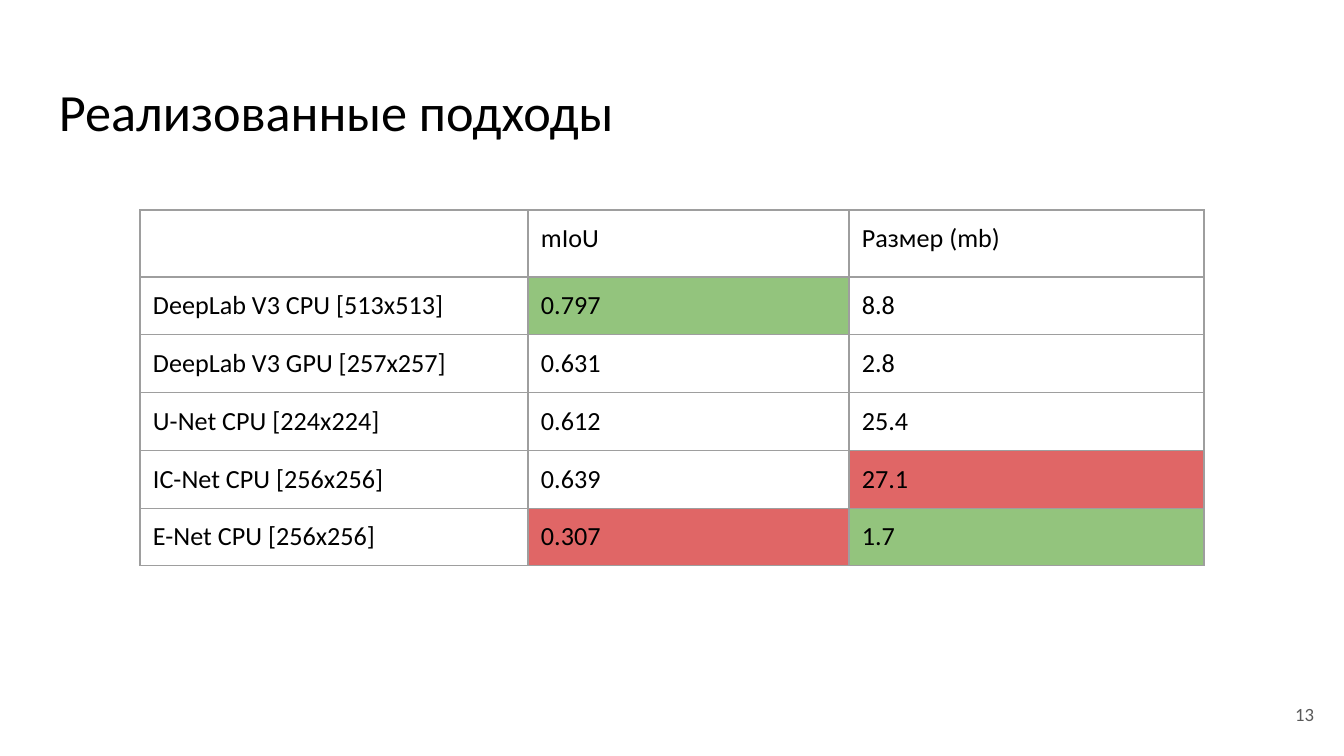
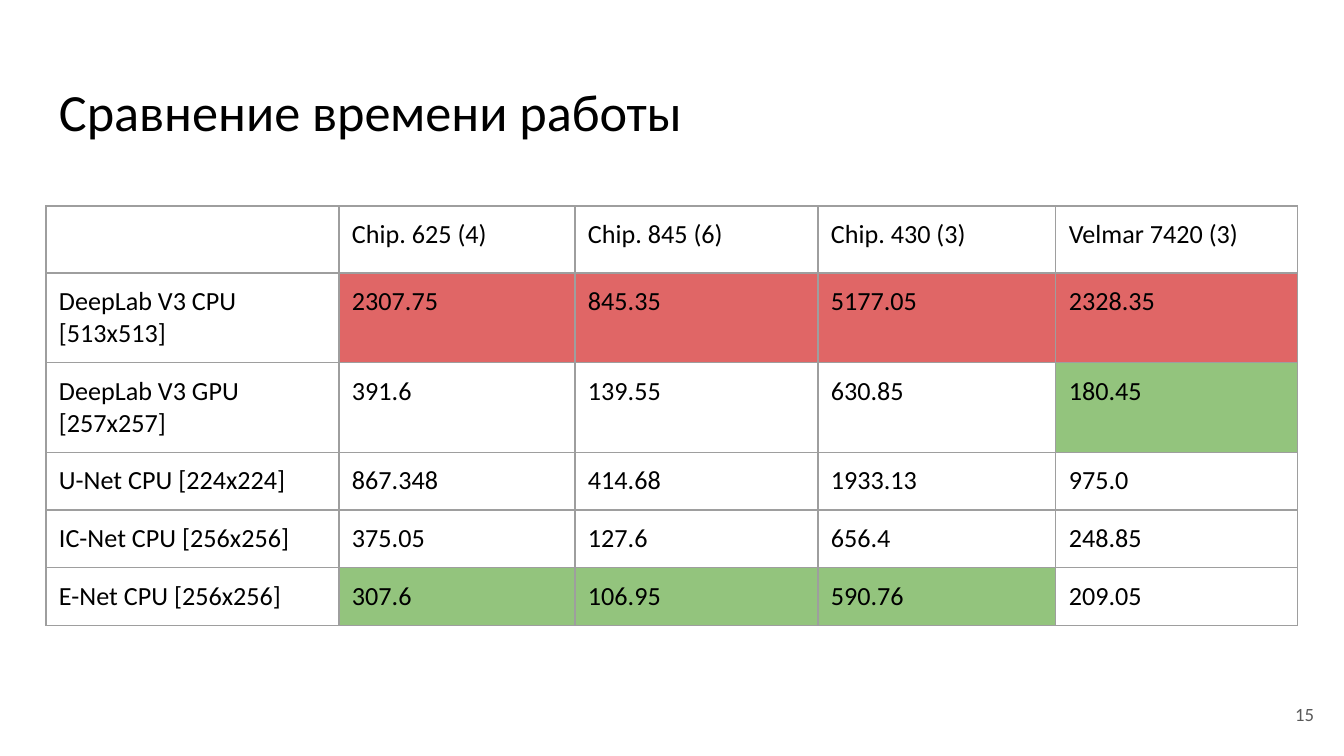
"""Build two slides comparing segmentation networks by quality, size and speed."""
from lxml import etree
from pptx import Presentation
from pptx.dml.color import RGBColor
from pptx.enum.text import MSO_ANCHOR, MSO_AUTO_SIZE, PP_ALIGN
from pptx.oxml.ns import qn
from pptx.util import Pt

LEFT, RIGHT = PP_ALIGN.LEFT, PP_ALIGN.RIGHT
TOP, MIDDLE = MSO_ANCHOR.TOP, MSO_ANCHOR.MIDDLE
NO_AUTOFIT = MSO_AUTO_SIZE.NONE
TITLE_ONLY = 5

NETWORKS = [
    "DeepLab V3 CPU [513x513]",
    "DeepLab V3 GPU [257x257]",
    "U-Net CPU [224x224]",
    "IC-Net CPU [256x256]",
    "E-Net CPU [256x256]",
]
SLIDES = [
    {
        "title": "Реализованные подходы",
        "number": "13",
        "corner": (140, 210),
        "widths": [388, 321, 355],
        "metrics": [
            ("mIoU", max, ["0.797", "0.631", "0.612", "0.639", "0.307"]),
            ("Размер (mb)", min, ["8.8", "2.8", "25.4", "27.1", "1.7"]),
        ],
    },
    {
        "title": "Сравнение времени работы",
        "number": "15",
        "corner": (46, 206),
        "widths": [293, 236, 243, 238, 242],
        "metrics": [
            ("Chip. 625 (4)", min, ["2307.75", "391.6", "867.348", "375.05", "307.6"]),
            ("Chip. 845 (6)", min, ["845.35", "139.55", "414.68", "127.6", "106.95"]),
            ("Chip. 430 (3)", min, ["5177.05", "630.85", "1933.13", "656.4", "590.76"]),
            ("Velmar 7420 (3)", min, ["2328.35", "180.45", "975.0", "248.85", "209.05"]),
        ],
    },
]

COLORS = {
    "background": "FFFFFF",
    "text": "000000",
    "number": "595959",
    "border": "9E9E9E",
    "best": "93C47D",
    "worst": "E06666",
}
FONT = "Calibri"
SLIDE_SIZE = (1344, 756)
TITLE_BOX = (46, 66, 1252, 84)
NUMBER_BOX = (1246, 685, 81, 58)
ROW_HEIGHT = 57
INSET = 13
BORDER_WIDTH = Pt(0.75)


def px(length):
    return round(length * 914400 / 134.4)


def rgb(name):
    return RGBColor.from_string(COLORS[name])


def set_margins(target):
    target.margin_left = target.margin_right = px(INSET)
    target.margin_top = target.margin_bottom = px(INSET)


def write(frame, text, size, color="text", align=LEFT):
    paragraph = frame.paragraphs[0]
    paragraph.alignment = align
    run = paragraph.add_run()
    run.text = text
    run.font.name = FONT
    run.font.size = Pt(size)
    run.font.color.rgb = rgb(color)


def format_frame(frame, anchor):
    frame.word_wrap = True
    frame.auto_size = NO_AUTOFIT
    frame.vertical_anchor = anchor
    set_margins(frame)


def add_title(slide, text):
    title = slide.shapes.title
    title.left, title.top, title.width, title.height = map(px, TITLE_BOX)
    format_frame(title.text_frame, TOP)
    write(title.text_frame, text, 28)


def add_number(slide, text):
    frame = slide.shapes.add_textbox(*map(px, NUMBER_BOX)).text_frame
    format_frame(frame, MIDDLE)
    write(frame, text, 10, "number", RIGHT)


def add_borders(cell):
    properties = cell._tc.get_or_add_tcPr()
    for side in ("a:lnL", "a:lnR", "a:lnT", "a:lnB"):
        line = etree.SubElement(properties, qn(side), w=str(BORDER_WIDTH))
        fill = etree.SubElement(line, qn("a:solidFill"))
        etree.SubElement(fill, qn("a:srgbClr"), val=COLORS["border"])


def fill_cell(cell, text, highlight):
    set_margins(cell)
    add_borders(cell)
    if highlight:
        cell.fill.solid()
        cell.fill.fore_color.rgb = rgb(highlight)
    else:
        cell.fill.background()
    if text:
        write(cell.text_frame, text, 14)


def rate(values, pick_best):
    pick_worst = min if pick_best is max else max
    marks = {pick_worst(values, key=float): "worst", pick_best(values, key=float): "best"}
    return [marks.get(value) for value in values]


def add_comparison(slide, corner, widths, metrics):
    columns = [[(name, None) for name in ["", *NETWORKS]]]
    for heading, pick_best, values in metrics:
        columns.append([(heading, None), *zip(values, rate(values, pick_best))])
    row_count = len(NETWORKS) + 1
    box = (*corner, sum(widths), row_count * ROW_HEIGHT)
    table = slide.shapes.add_table(row_count, len(columns), *map(px, box)).table
    table.first_row = table.horz_banding = False
    for row in table.rows:
        row.height = px(ROW_HEIGHT)
    for c, (width, entries) in enumerate(zip(widths, columns)):
        table.columns[c].width = px(width)
        for r, (text, highlight) in enumerate(entries):
            fill_cell(table.cell(r, c), text, highlight)


def main():
    deck = Presentation()
    deck.slide_width, deck.slide_height = map(px, SLIDE_SIZE)
    for content in SLIDES:
        slide = deck.slides.add_slide(deck.slide_layouts[TITLE_ONLY])
        slide.background.fill.solid()
        slide.background.fill.fore_color.rgb = rgb("background")
        add_title(slide, content["title"])
        add_number(slide, content["number"])
        add_comparison(slide, content["corner"], content["widths"], content["metrics"])
    deck.save("out.pptx")


if __name__ == "__main__":
    main()
